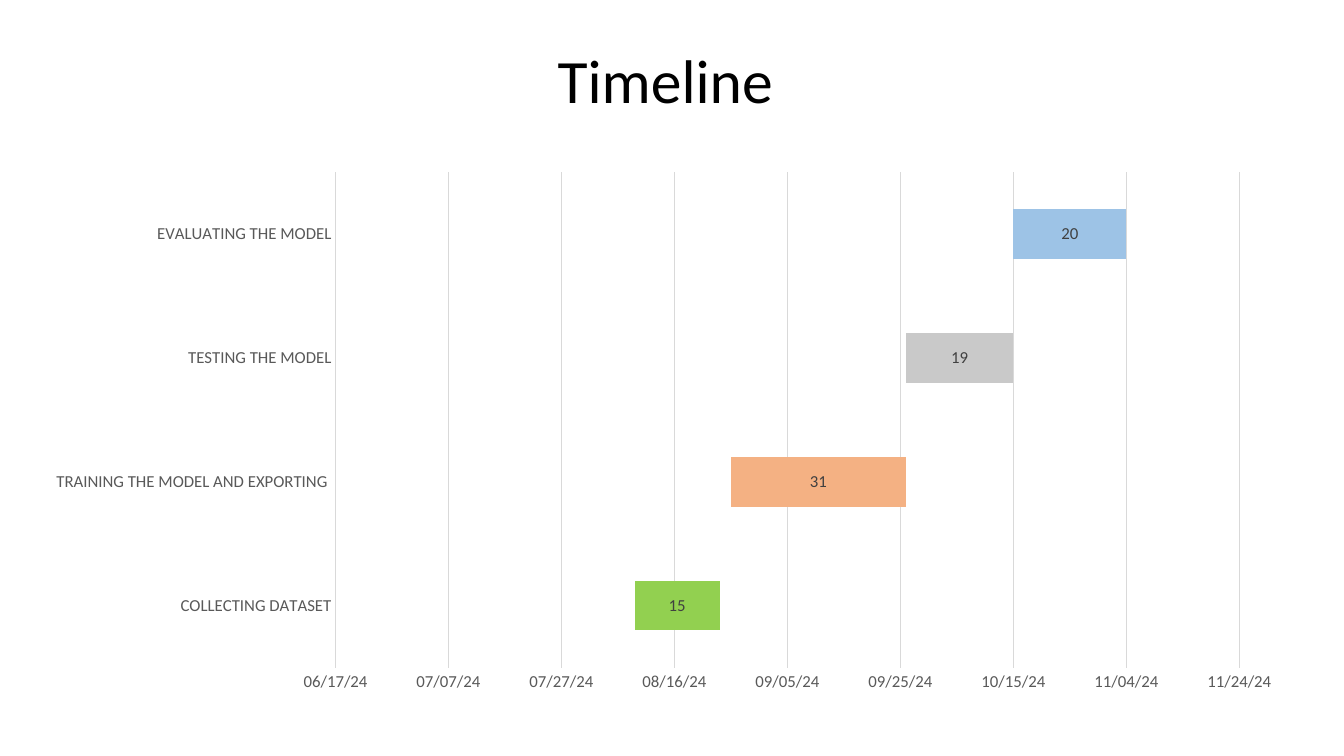
from lxml import etree
from pptx import Presentation
from pptx.chart.data import CategoryChartData
from pptx.dml.color import RGBColor
from pptx.enum.chart import XL_CHART_TYPE, XL_LABEL_POSITION, XL_TICK_MARK
from pptx.enum.text import MSO_ANCHOR, PP_ALIGN
from pptx.oxml.ns import qn
from pptx.util import Inches, Pt

BLACK = RGBColor(0x00, 0x00, 0x00)
AXIS_TEXT = RGBColor(0x59, 0x59, 0x59)
LABEL_TEXT = RGBColor(0x40, 0x40, 0x40)
GRID = RGBColor(0xD9, 0xD9, 0xD9)
GREEN = RGBColor(0x92, 0xD0, 0x50)
ORANGE = RGBColor(0xF4, 0xB1, 0x83)
GRAY = RGBColor(0xC9, 0xC9, 0xC9)
BLUE = RGBColor(0x9D, 0xC3, 0xE6)

# Task, start as a date serial number, length in days, bar colour
TASKS = [
    ("COLLECTING DATASET", 45513, 15, GREEN),
    ("TRAINING THE MODEL AND EXPORTING ", 45530, 31, ORANGE),
    ("TESTING THE MODEL", 45561, 19, GRAY),
    ("EVALUATING THE MODEL", 45580, 20, BLUE),
]
names, starts, days, colors = zip(*TASKS)
FIRST_DATE, LAST_DATE, DATE_STEP = 45460, 45620, 20

# Left, top, width and height in inches
CHART = (0.43, 1.07, 12.18, 5.79)
PLOT = (3.33, 1.71, 8.97, 4.93)


def style_font(font, size, color):
    for name, value in {"name": "Calibri", "size": Pt(size)}.items():
        setattr(font, name, value)
    font.color.rgb = color


deck = Presentation()
deck.slide_width, deck.slide_height = Inches(13.33), Inches(7.5)
page = deck.slides.add_slide(deck.slide_layouts[6])

# Title
title_box = page.shapes.add_textbox(Inches(0.85), Inches(0.1), Inches(11.5), Inches(1.45))
frame = title_box.text_frame
frame.word_wrap = True
frame.vertical_anchor = MSO_ANCHOR.MIDDLE
para = frame.paragraphs[0]
para.alignment = PP_ALIGN.CENTER
para.line_spacing = 0.9
span = para.add_run()
span.text = "Timeline"
style_font(span.font, 44, BLACK)

# Gantt chart: invisible start bars carry the coloured duration bars
data = CategoryChartData()
data.categories = names
data.add_series("Series 1", starts)
data.add_series("Series 2", days)
chart = page.shapes.add_chart(
    XL_CHART_TYPE.BAR_STACKED, *map(Inches, CHART), data
).chart
chart.has_title = False
chart.has_legend = False
style_font(chart.font, 10, BLACK)

# Axes
for axis in (chart.category_axis, chart.value_axis):
    axis.major_tick_mark = axis.minor_tick_mark = XL_TICK_MARK.NONE
    style_font(axis.tick_labels.font, 12, AXIS_TEXT)

tasks_axis, dates_axis = chart.category_axis, chart.value_axis
tasks_axis.has_major_gridlines = False
dates_axis.has_major_gridlines = True
for line in (tasks_axis.format.line, dates_axis.major_gridlines.format.line):
    line.color.rgb = GRID
    line.width = Pt(0.75)
dates_axis.format.line.fill.background()
dates_axis.minimum_scale = FIRST_DATE
dates_axis.maximum_scale = LAST_DATE
dates_axis.major_unit = DATE_STEP
dates_axis.tick_labels.number_format = "mm/dd/yy;@"
dates_axis.tick_labels.number_format_is_linked = False

# Bars
plot = chart.plots[0]
plot.gap_width = 150
plot.overlap = 100
plot.vary_by_categories = False
start_bars, day_bars = plot.series
start_bars.format.fill.background()
start_bars.format.line.fill.background()
day_bars.format.fill.solid()
day_bars.format.fill.fore_color.rgb = GREEN
for index, color in enumerate(colors):
    fill = day_bars.points[index].format.fill
    fill.solid()
    fill.fore_color.rgb = color

labels = day_bars.data_labels
labels.show_value = True
labels.position = XL_LABEL_POSITION.CENTER
style_font(labels.font, 12, LABEL_TEXT)

# Fixed inner plot area, as fractions of the chart
chart_left, chart_top, chart_width, chart_height = CHART
plot_left, plot_top, plot_width, plot_height = PLOT
layout_values = {
    "layoutTarget": "inner",
    "xMode": "edge",
    "yMode": "edge",
    "x": (plot_left - chart_left) / chart_width,
    "y": (plot_top - chart_top) / chart_height,
    "w": plot_width / chart_width,
    "h": plot_height / chart_height,
}
plot_area = chart.element.find(".//" + qn("c:plotArea"))
for old_layout in plot_area.findall(qn("c:layout")):
    plot_area.remove(old_layout)
layout = etree.Element(qn("c:layout"))
plot_area.insert(0, layout)
manual = etree.SubElement(layout, qn("c:manualLayout"))
for tag, value in layout_values.items():
    etree.SubElement(manual, qn("c:" + tag), val=str(value))

deck.save("out.pptx")
